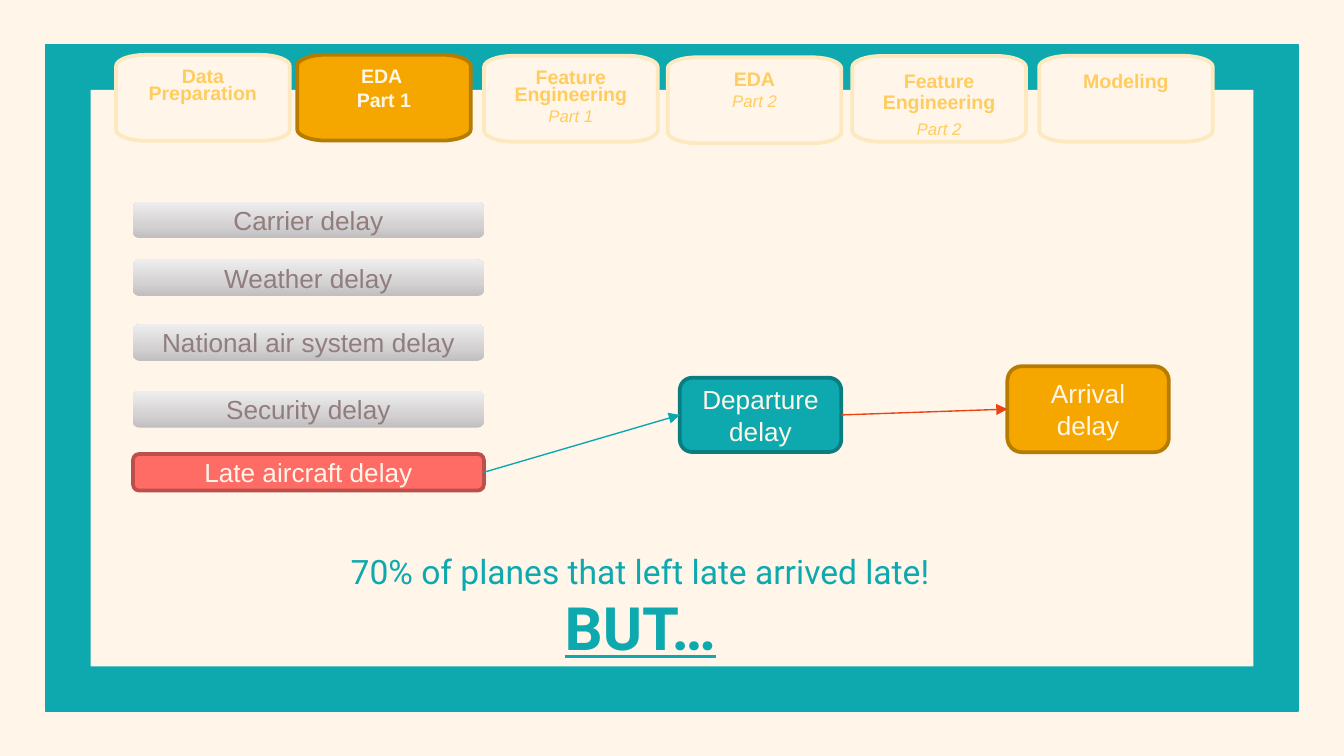
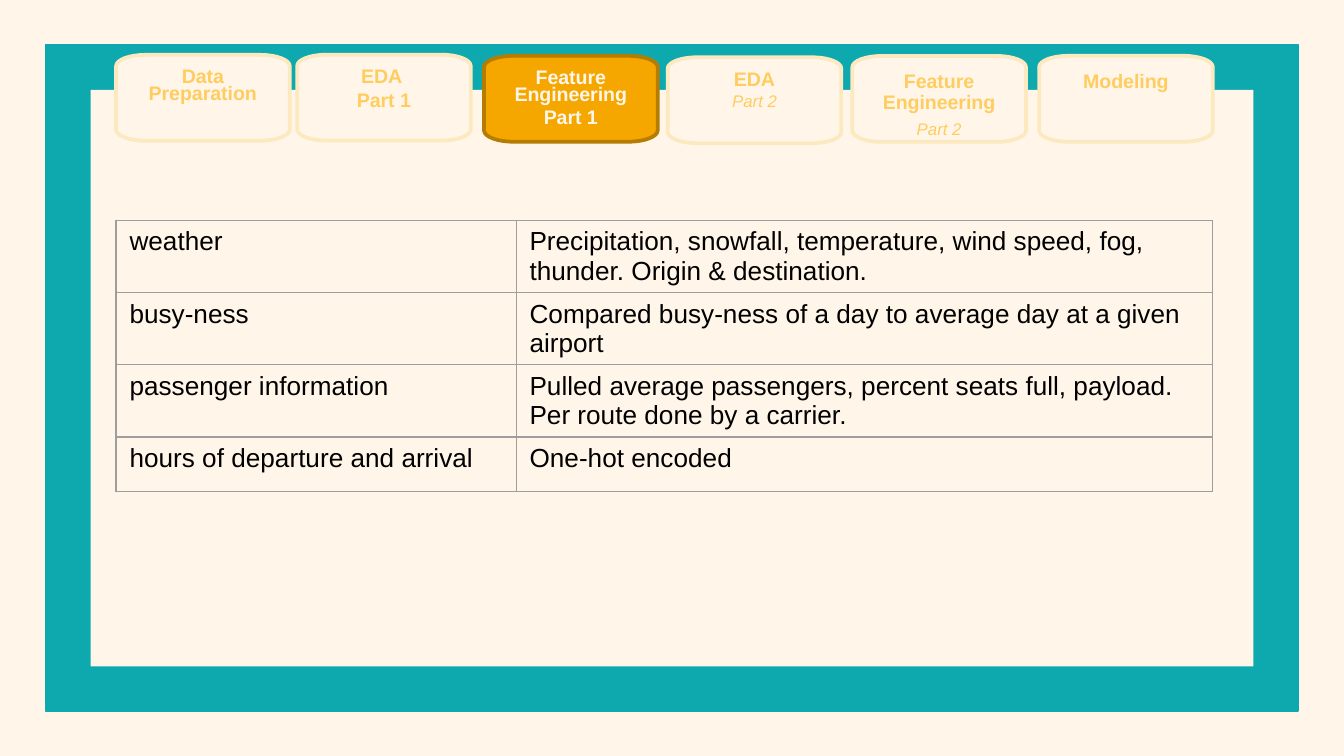
import copy

import pptx
import pptx.dml.color
import pptx.enum.shapes
import pptx.enum.text
import pptx.oxml
import pptx.oxml.ns
import pptx.util

Pt = pptx.util.Pt
qn = pptx.oxml.ns.qn
SHAPE = pptx.enum.shapes.MSO_SHAPE
CENTER = pptx.enum.text.PP_ALIGN.CENTER
MIDDLE = pptx.enum.text.MSO_ANCHOR.MIDDLE

COLORS = {
    "cream": "FFF6E9", "teal": "0EA9AF", "dark teal": "0A7D81",
    "arrow teal": "0AA9AF", "amber": "F5A700", "dark amber": "B57C00",
    "pale amber": "FDE9BF", "soft amber": "FFCC60",
    "coral": "FF6B65", "dark coral": "BD4F4B", "red": "EB4314",
    "muted": "917D7D", "black": "000000", "grid": "9E9E9E",
    "gray low": "C0BEBE", "gray mid": "D3D1D1", "gray high": "EEEEEE",
}
GRAY_STOPS = [(0, "gray low"), (0.35, "gray mid"), (1, "gray high")]

# left, top, line spacing, heading, part, part is set small and italic
TABS = [
    (62.2, 29.4, 0.7, "Data Preparation", None, False),
    (159.2, 29.3, 0.7, "EDA ", "Part 1", False),
    (259.3, 29.9, 0.7, "Feature Engineering", "Part 1", True),
    (357.7, 30.7, 0.7, "EDA", "Part 2", True),
    (456.6, 30, 0.9, "Feature Engineering", "Part 2", True),
    (556.7, 29.9, 0.9, "Modeling", None, False),
]
TAB_SIZE = (93, 46)
TAB_CORNER = (15.6, 6)
TAB_INSET = 8.5
CURVE = 0.55
HEADING_FONT = {"name": "Arial", "size": Pt(10.5), "bold": True}
PART_FONT = {"name": "Arial", "size": Pt(9), "italic": True}
LABEL_FONT = {"name": "Arial", "size": Pt(14)}

CAUSES = [(108, "Carrier delay"), (139, "Weather delay"),
          (173.7, "National air system delay"), (209.5, "Security delay")]
LATE_CAUSE = (243.2, "Late aircraft delay")
CAUSE_LEFT, CAUSE_WIDTH, CAUSE_HEIGHT = 71.3, 188, 19.6
MESSAGE = [
    ("70% of planes that left late arrived late!",
     {"name": "Roboto", "size": Pt(18)}),
    ("BUT…",
     {"name": "Roboto", "size": Pt(32), "bold": True, "underline": True}),
]

FEATURES = [
    ("weather", "Precipitation, snowfall, temperature, wind speed, fog, "
                "thunder. Origin & destination."),
    ("busy-ness", "Compared busy-ness of a day to average day at a given airport"),
    ("passenger information", "Pulled average passengers, percent seats full, "
                              "payload. Per route done by a carrier."),
    ("hours of departure and arrival", "One-hot encoded"),
]
FEATURE_COLUMNS = (214.3, 373)
FEATURE_ROW = 29.2


def rgb(color):
    return pptx.dml.color.RGBColor.from_string(COLORS[color])


def paint(shape, fill, line=None, width=2):
    shape.shadow.inherit = False
    shape.fill.solid()
    shape.fill.fore_color.rgb = rgb(fill)
    if line:
        shape.line.color.rgb = rgb(line)
        shape.line.width = Pt(width)
    else:
        shape.line.fill.background()


def write(paragraph, text, font, color):
    run = paragraph.add_run()
    run.text = text
    for name, value in font.items():
        setattr(run.font, name, value)
    run.font.color.rgb = rgb(color)


def write_lines(frame, lines, color):
    """Write centred (text, font) lines and return their paragraphs."""
    frame.word_wrap = True
    for number, (text, font) in enumerate(lines):
        paragraph = frame.add_paragraph() if number else frame.paragraphs[0]
        paragraph.alignment = CENTER
        write(paragraph, text, font, color)
    return frame.paragraphs


def add_box(slide, preset, place, fill, line=None, width=2):
    box = slide.shapes.add_shape(preset, *map(Pt, place))
    paint(box, fill, line, width)
    return box


def add_label(slide, place, text, fill, line=None, color="cream"):
    label = add_box(slide, SHAPE.ROUNDED_RECTANGLE, place, fill, line)
    label.text_frame.vertical_anchor = MIDDLE
    write_lines(label.text_frame, [(text, LABEL_FONT)], color)
    return label


def shade(shape):
    """Fill with the gray gradient, darkest at the bottom."""
    shape.fill.gradient()
    shape.fill.gradient_angle = 90
    stops = next(shape.element.iter(qn("a:gsLst")))
    stops.insert(1, copy.deepcopy(stops[0]))
    for stop, (position, color) in zip(shape.fill.gradient_stops, GRAY_STOPS):
        stop.position = position
        stop.color.rgb = rgb(color)


def xml_element(tag, attributes="", inner=""):
    return pptx.oxml.parse_xml(
        f'<a:{tag} {pptx.oxml.ns.nsdecls("a")} {attributes}>{inner}</a:{tag}>')


def add_arrow(slide, start, end, color):
    """Point from the right side of start to the left side of end."""
    arrow = slide.shapes.add_connector(
        pptx.enum.shapes.MSO_CONNECTOR.STRAIGHT, 0, 0, 0, 0)
    arrow.begin_connect(start, 3)
    arrow.end_connect(end, 1)
    arrow.line.color.rgb = rgb(color)
    arrow.line.width = Pt(0.75)
    line = next(arrow.element.iter(qn("a:ln")))
    line.append(xml_element("tailEnd", 'type="triangle"'))
    line.getparent().append(xml_element("effectLst"))


def add_tab_shape(slide, left, top):
    """Draw an octagon, then bend its four cut corners into curves."""
    (width, height), (rx, ry) = TAB_SIZE, TAB_CORNER
    outline = [(0, ry), (rx, 0), (width - rx, 0), (width, ry), (width, height - ry),
               (width - rx, height), (rx, height), (0, height - ry)]
    corners = [(0, 0), (width, 0), (width, height), (0, height)]
    start, *rest = [(Pt(left + x), Pt(top + y)) for x, y in outline]
    builder = slide.shapes.build_freeform(*start)
    builder.add_line_segments(rest, close=True)
    tab = builder.convert_to_shape()
    cuts = list(tab.element.iter(qn("a:lnTo")))[::2]
    for cut, corner, begin, end in zip(cuts, corners, outline[::2], outline[1::2]):
        controls = [[p + CURVE * (c - p) for p, c in zip(point, corner)]
                    for point in (begin, end)]
        points = "".join(f'<a:pt x="{Pt(x)}" y="{Pt(y)}"/>'
                         for x, y in (*controls, end))
        cut.getparent().replace(cut, xml_element("cubicBezTo", inner=points))
    return tab


def add_tabs(slide, active):
    for number, (left, top, spacing, heading, part, small) in enumerate(TABS):
        is_active = number == active
        tab = add_tab_shape(slide, left, top)
        paint(tab, *(("amber", "dark amber") if is_active else ("cream", "pale amber")))
        frame = tab.text_frame
        frame.vertical_anchor = pptx.enum.text.MSO_ANCHOR.TOP
        for side in ("left", "top", "right", "bottom"):
            setattr(frame, f"margin_{side}", Pt(TAB_INSET))
        lines = [(heading, HEADING_FONT)]
        if part:
            lines.append((part, PART_FONT if small and not is_active else HEADING_FONT))
        color = "cream" if is_active else "soft amber"
        for paragraph in write_lines(frame, lines, color):
            paragraph.line_spacing = spacing
            paragraph.space_after = Pt(0)
            after = next(paragraph._p.iter(qn("a:spcAft")))
            after[:] = [xml_element("spcPct", 'val="35000"')]


def add_frame(prs, layout, slide):
    """Put the background and teal frame on the layout that all slides use."""
    background = prs.slide_master.background.fill
    background.solid()
    background.fore_color.rgb = rgb("cream")
    bands = [add_box(slide, SHAPE.RECTANGLE, (24.5, 24, 671, 357), "teal", "teal", 0.75),
             add_box(slide, SHAPE.RECTANGLE, (48.6, 48.2, 622.8, 308.8), "cream")]
    for position, band in enumerate(bands, 2):
        layout.shapes.element.insert(position, band.element)


def build_delays(slide):
    message = slide.shapes.add_textbox(Pt(36.5), Pt(291.5), Pt(613), Pt(39.5))
    write_lines(message.text_frame, MESSAGE, "teal")
    arrival = add_label(slide, (539.7, 196.2, 86.5, 46), "Arrival delay",
                        "amber", "dark amber")
    departure = add_label(slide, (364.2, 202.4, 86.5, 39.8), "Departure delay",
                          "teal", "dark teal")
    for top, cause in CAUSES:
        shade(add_label(slide, (CAUSE_LEFT, top, CAUSE_WIDTH, CAUSE_HEIGHT),
                        cause, "gray mid", color="muted"))
    top, cause = LATE_CAUSE
    late = add_label(slide, (CAUSE_LEFT, top, CAUSE_WIDTH, CAUSE_HEIGHT),
                     cause, "coral", "dark coral")
    add_arrow(slide, late, departure, "arrow teal")
    add_arrow(slide, departure, arrival, "red")
    add_tabs(slide, active=1)


def build_features(slide):
    add_tabs(slide, active=2)
    table = slide.shapes.add_table(
        len(FEATURES), len(FEATURE_COLUMNS), Pt(62.2), Pt(118.1),
        Pt(sum(FEATURE_COLUMNS)), Pt(FEATURE_ROW * len(FEATURES))).table
    table.first_row = table.horz_banding = False
    for column, width in zip(table.columns, FEATURE_COLUMNS):
        column.width = Pt(width)
    border = f'<a:solidFill><a:srgbClr val="{COLORS["grid"]}"/></a:solidFill>'
    for row, texts in enumerate(FEATURES):
        for column, text in enumerate(texts):
            cell = table.cell(row, column)
            write(cell.text_frame.paragraphs[0], text, LABEL_FONT, "black")
            properties = cell._tc.get_or_add_tcPr()
            for side in ("lnL", "lnR", "lnT", "lnB"):
                properties.append(xml_element(side, f'w="{Pt(0.75)}"', border))
            cell.fill.background()


def main():
    prs = pptx.Presentation()
    prs.slide_width, prs.slide_height = Pt(720), Pt(405)
    layout = prs.slide_layouts[6]
    delays, features = (prs.slides.add_slide(layout) for _ in range(2))
    add_frame(prs, layout, delays)
    build_delays(delays)
    build_features(features)
    prs.save("out.pptx")


if __name__ == "__main__":
    main()
